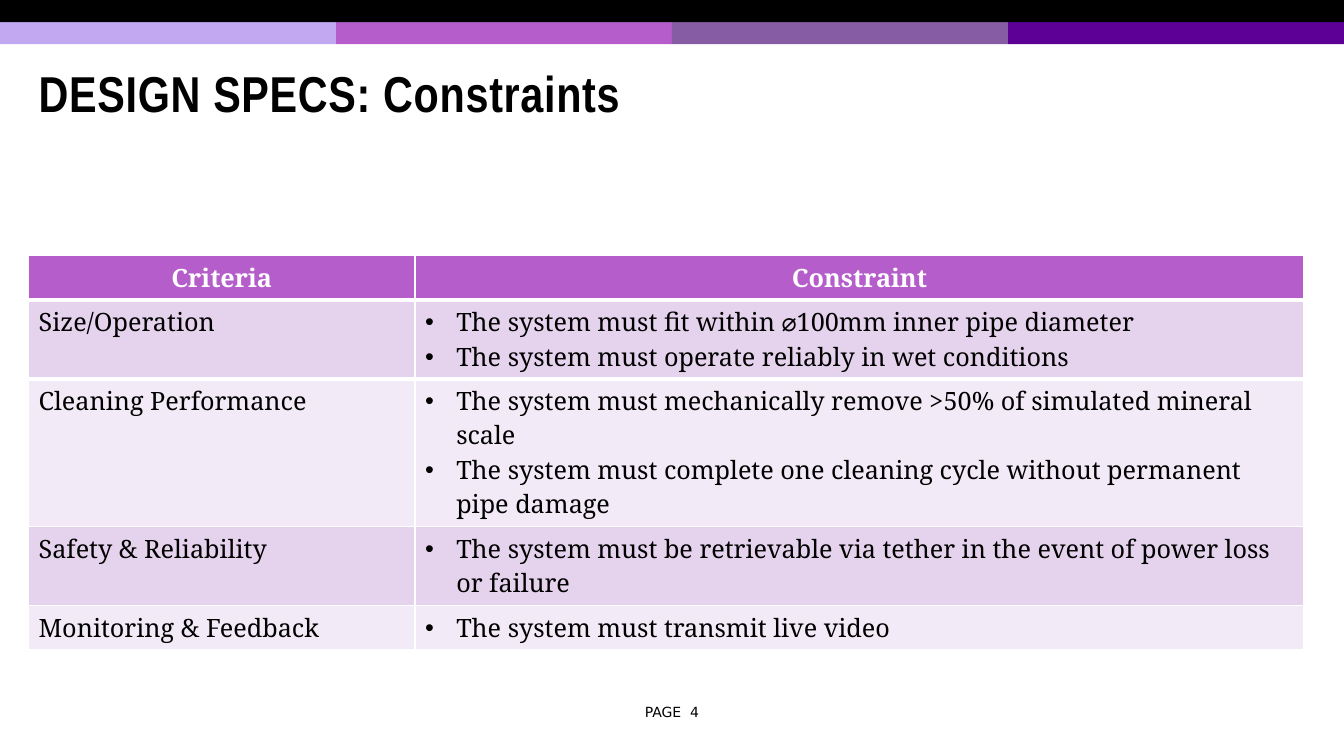
import math

from lxml import etree
from pptx import Presentation, util as u
from pptx.dml.color import RGBColor
from pptx.enum import shapes, text
from pptx.oxml import ns

BLACK = RGBColor(0x00, 0x00, 0x00)
WHITE = RGBColor(0xFF, 0xFF, 0xFF)
LILAC = RGBColor(0xC2, 0xA8, 0xF0)
ORCHID = RGBColor(0xB4, 0x5D, 0xCB)
MAUVE = RGBColor(0x86, 0x5D, 0xA4)
VIOLET = RGBColor(0x5D, 0x00, 0x96)
TINT = RGBColor(0xE5, 0xD2, 0xEC)
PALE = RGBColor(0xF2, 0xEA, 0xF6)

HEADS = ["Criteria", "Constraint"]
SPECS = [
    ("Size/Operation", [
        "The system must fit within ⌀100mm inner pipe diameter",
        "The system must operate reliably in wet conditions"]),
    ("Cleaning Performance", [
        "The system must mechanically remove >50% of simulated mineral scale",
        "The system must complete one cleaning cycle without permanent pipe damage"]),
    ("Safety & Reliability", [
        "The system must be retrievable via tether in the event of power loss or failure"]),
    ("Monitoring & Feedback", ["The system must transmit live video"]),
]


class Deck:
    """Draws styled elements on a slide divided into 48 columns and 27 rows."""

    head, body, foot = "Arial Narrow", "Noto Serif", "DejaVu Sans"
    line, pad, chars = 1.23, 0.36, 64

    def __init__(self):
        self.prs = Presentation()
        self.prs.slide_width = u.Inches(13.33)
        self.prs.slide_height = u.Inches(7.5)
        self.col = self.prs.slide_width / 48
        self.row = self.prs.slide_height / 27
        self.slide = self.prs.slides.add_slide(self.prs.slide_layouts[5])

    def box(self, x, y, w, h):
        return (round(x * self.col), round(y * self.row),
                round(w * self.col), round(h * self.row))

    def run(self, para, words, font, size, color=BLACK, bold=False):
        run = para.add_run()
        run.text = words
        run.font.name = font
        run.font.size = u.Pt(size)
        run.font.color.rgb = color
        run.font.bold = bold
        return run

    def band(self, x, y, w, h, color):
        rect = self.slide.shapes.add_shape(
            shapes.MSO_SHAPE.RECTANGLE, *self.box(x, y, w, h))
        rect.shadow.inherit = False
        rect.fill.solid()
        rect.fill.fore_color.rgb = color
        rect.line.fill.background()

    def title(self, words, *place):
        shape = self.slide.shapes.title
        shape.left, shape.top, shape.width, shape.height = self.box(*place)
        frame = shape.text_frame
        frame.vertical_anchor = text.MSO_ANCHOR.MIDDLE
        frame.auto_size = text.MSO_AUTO_SIZE.NONE
        para = frame.paragraphs[0]
        para.alignment = text.PP_ALIGN.LEFT
        para.line_spacing = 0.85
        run = self.run(para, words, self.head, 36, bold=True)
        run.font._element.set("spc", "50")

    def label(self, words, *place):
        frame = self.slide.shapes.add_textbox(*self.box(*place)).text_frame
        frame.word_wrap = True
        frame.vertical_anchor = text.MSO_ANCHOR.MIDDLE
        para = frame.paragraphs[0]
        para.alignment = text.PP_ALIGN.CENTER
        self.run(para, words, self.foot, 10)

    def bullet(self, para):
        props = para._p.get_or_add_pPr()
        props.set("marL", str(u.Inches(0.31)))
        props.set("indent", str(-u.Inches(0.31)))
        etree.SubElement(props, ns.qn("a:buFont")).set("typeface", "Arial")
        etree.SubElement(props, ns.qn("a:buChar")).set("char", "•")

    def edge(self, cell, side, width):
        rule = etree.Element(ns.qn("a:" + side), w=str(u.Pt(width)))
        fill = etree.SubElement(rule, ns.qn("a:solidFill"))
        etree.SubElement(fill, ns.qn("a:srgbClr")).set("val", str(WHITE))
        cell._tc.get_or_add_tcPr().insert(0, rule)

    def cell(self, cell, lines, fill, head=False, dots=False):
        cell.fill.solid()
        cell.fill.fore_color.rgb = fill
        frame = cell.text_frame
        for i, line in enumerate(lines):
            para = frame.add_paragraph() if i else frame.paragraphs[0]
            if head:
                para.alignment = text.PP_ALIGN.CENTER
            if dots:
                self.bullet(para)
            self.run(para, line, self.body, 18, WHITE if head else BLACK, head)

    def tall(self, rules):
        count = sum(math.ceil(len(rule) / self.chars) for rule in rules)
        return count * self.line + self.pad

    def table(self, heads, specs, x, y, widths):
        highs = [self.tall(heads[:1])] + [self.tall(rules) for _, rules in specs]
        place = self.box(x, y, sum(widths), sum(highs))
        grid = self.slide.shapes.add_table(len(highs), len(widths), *place).table
        for col, width in zip(grid.columns, widths):
            col.width = round(width * self.col)
        for row, high in zip(grid.rows, highs):
            row.height = round(high * self.row)
        for i, head in enumerate(heads):
            self.cell(grid.cell(0, i), [head], ORCHID, head=True)
            self.edge(grid.cell(0, i), "lnB", 3)
            self.edge(grid.cell(1, i), "lnT", 3)
        for i, (name, rules) in enumerate(specs, 1):
            fill = TINT if i % 2 else PALE
            self.cell(grid.cell(i, 0), [name], fill)
            self.cell(grid.cell(i, 1), rules, fill, dots=True)


def main():
    deck = Deck()
    for i, color in enumerate([LILAC, ORCHID, MAUVE, VIOLET]):
        deck.band(12 * i, 0.79, 12, 0.79, color)
    deck.band(0, 0, 48, 0.79, BLACK)
    deck.title("DESIGN SPECS: Constraints", 1.02, 1.7, 45.55, 3.53)
    deck.label("PAGE  4", 22, 24.95, 4, 0.97)
    deck.table(HEADS, SPECS, 1.02, 9.12, [13.8, 31.75])
    deck.prs.save("out.pptx")


if __name__ == "__main__":
    main()
